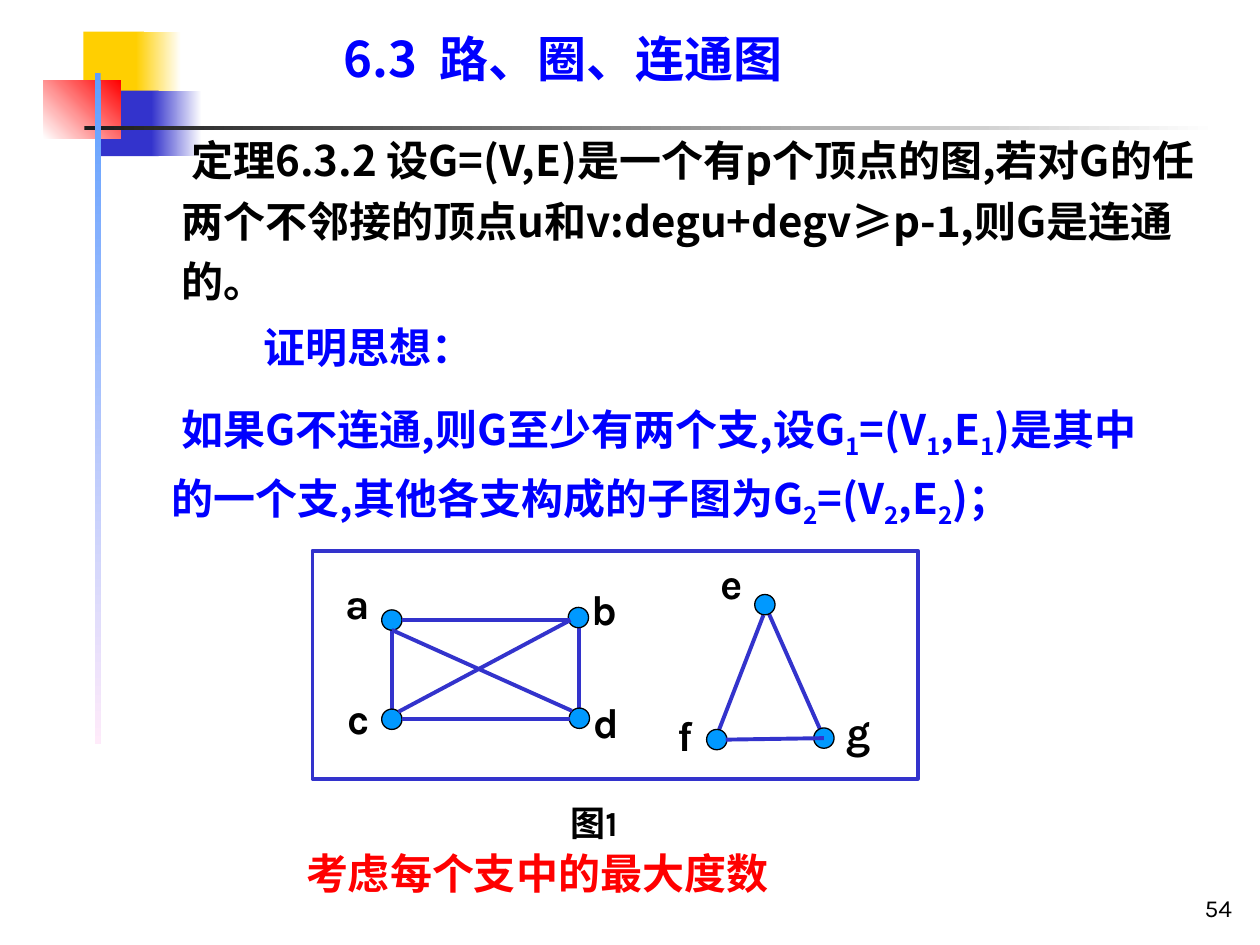
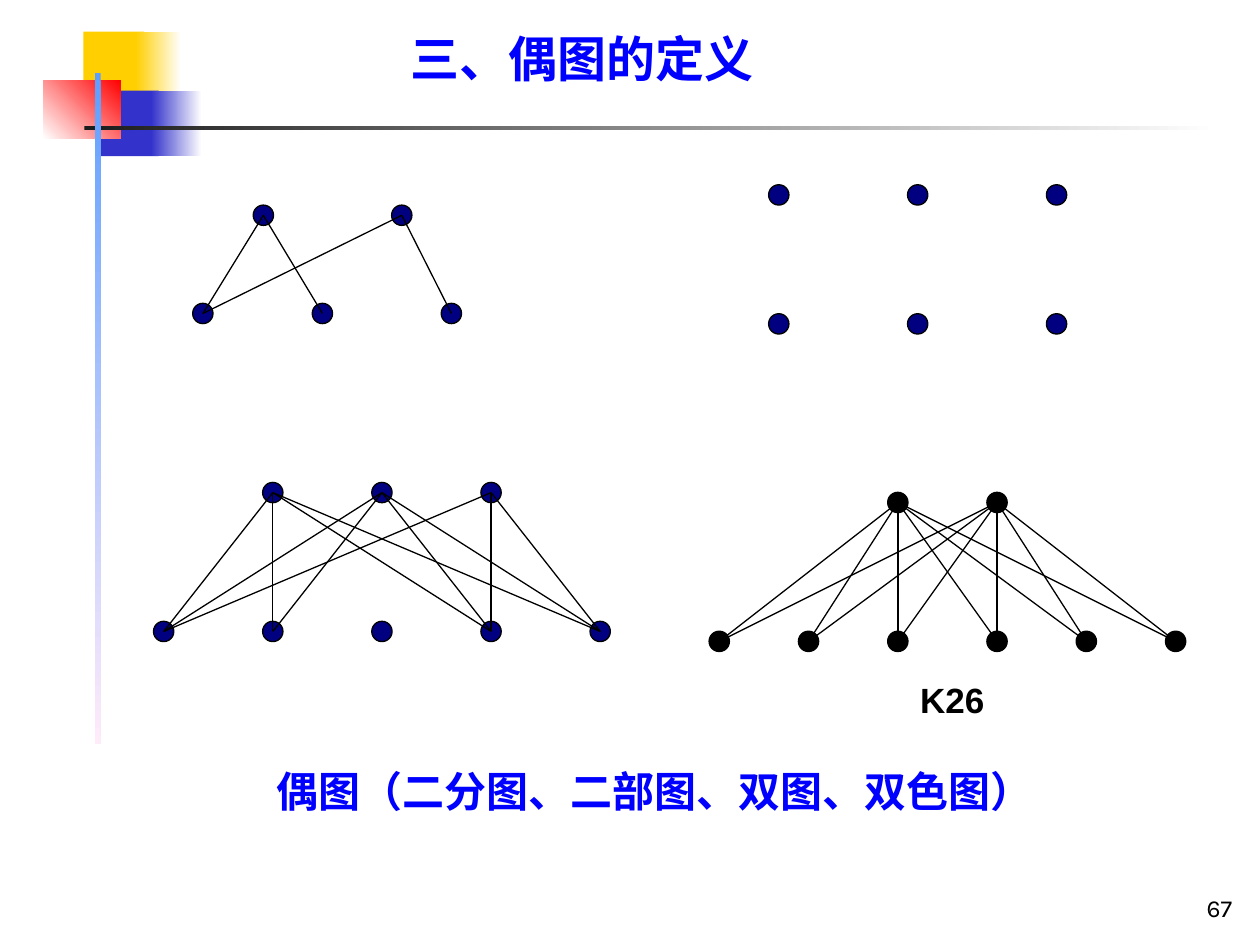
from itertools import product
from lxml.etree import SubElement
from pptx import Presentation
from pptx.dml.color import RGBColor
from pptx.enum.shapes import MSO_CONNECTOR, MSO_SHAPE
from pptx.enum.text import MSO_ANCHOR, MSO_AUTO_SIZE, PP_ALIGN
from pptx.oxml.ns import qn
from pptx.util import Cm, Pt

BLACK = RGBColor(0x00, 0x00, 0x00)
WHITE = RGBColor(0xFF, 0xFF, 0xFF)
BLUE = RGBColor(0x00, 0x00, 0xFF)
RED = RGBColor(0xFF, 0x00, 0x00)
YELLOW = RGBColor(0xFF, 0xCF, 0x01)
INDIGO = RGBColor(0x33, 0x33, 0xCC)
CHARCOAL = RGBColor(0x1C, 0x1C, 0x1C)
SKY = RGBColor(0x5E, 0x9E, 0xFF)
PINK = RGBColor(0xFF, 0xEB, 0xFA)
AZURE = RGBColor(0x00, 0x99, 0xFF)
NAVY = RGBColor(0x00, 0x00, 0x80)
CJK = "Noto Sans CJK SC"
LABEL = "Karla"
NODE = 0.41


def add_text(sp, box, parts, size, color, font=CJK, bold=True, spacing=1.0,
             indent=0, align=PP_ALIGN.LEFT, anchor=MSO_ANCHOR.TOP):
    sp.left, sp.top, sp.width, sp.height = [Cm(v) for v in box]
    tf = sp.text_frame
    tf.word_wrap = True
    tf.auto_size = MSO_AUTO_SIZE.NONE
    tf.vertical_anchor = anchor
    tf.margin_left = tf.margin_right = tf.margin_top = tf.margin_bottom = 0
    p = tf.paragraphs[0]
    pPr = p._p.get_or_add_pPr()
    pPr.set("marL", "0")
    pPr.set("indent", str(Cm(indent)))
    SubElement(pPr, qn("a:buNone"))
    p.alignment = align
    p.line_spacing = spacing
    p.space_before = Pt(0)
    for i, part in enumerate(parts):
        r = p.add_run()
        r.text = part
        r.font.name = font
        r.font.size = Pt(size)
        r.font.bold = bold
        r.font.color.rgb = color
        rPr = r._r.get_or_add_rPr()
        SubElement(rPr, qn("a:ea")).set("typeface", CJK)
        if i % 2:
            rPr.set("baseline", "-25000")


def add_graph(s, nodes, edges, fill, color, width):
    for x, y in nodes:
        sp = s.shapes.add_shape(MSO_SHAPE.OVAL, Cm(x - NODE / 2), Cm(y - NODE / 2), Cm(NODE), Cm(NODE))
        sp.shadow.inherit = False
        sp.fill.solid()
        sp.fill.fore_color.rgb = fill
        sp.line.color.rgb = BLACK
        sp.line.width = Pt(0.75)
    for edge in edges:
        c = s.shapes.add_connector(MSO_CONNECTOR.STRAIGHT, *[Cm(v) for v in edge])
        c.line.color.rgb = color
        c.line.width = Pt(width)
        SubElement(c.element.spPr, qn("a:effectLst"))


prs = Presentation()
prs.slide_width = Cm(25.4)
prs.slide_height = Cm(19.05)
theorem = prs.slides.add_slide(prs.slide_layouts[1])
bipartite = prs.slides.add_slide(prs.slide_layouts[5])

bands = [
    (1.68, 0.64, 1.22, 1.32, YELLOW, YELLOW, 0),
    (2.74, 0.64, 0.91, 1.32, YELLOW, WHITE, 0),
    (2.03, 1.83, 1.17, 1.32, INDIGO, INDIGO, 0),
    (3.05, 1.83, 1.02, 1.32, INDIGO, WHITE, 0),
    (0.88, 1.62, 1.56, 1.18, WHITE, RED, 45),
    (1.7, 2.55, 22.86, 0.08, CHARCOAL, WHITE, 0),
    (1.91, 1.47, 0.12, 13.54, SKY, PINK, 270),
]
for i, (x, y, w, h, start, end, angle) in enumerate(bands):
    sp = theorem.shapes.add_shape(MSO_SHAPE.RECTANGLE, Cm(x), Cm(y), Cm(w), Cm(h))
    sp.shadow.inherit = False
    sp.line.fill.background()
    if start == end:
        sp.fill.solid()
        sp.fill.fore_color.rgb = start
    else:
        sp.fill.gradient()
        sp.fill.gradient_angle = angle
        for stop, color in zip(sp.fill.gradient_stops, (start, end)):
            stop.color.rgb = color
    sp.element.nvSpPr.cNvPr.set("id", str(20 + i))
    prs.slide_master.shapes.element.append(sp.element)

for s, x, title, font, number in [
    (theorem, 6.93, "6.3  路、圈、连通图", CJK, "54"),
    (bipartite, 8.28, "三、偶图的定义", "Times New Roman", "67"),
]:
    add_text(s.shapes.title, (x, 0.71, 11, 1.07), [title], 28, BLUE, font, spacing=0.9)
    add_text(s.shapes.add_textbox(0, 0, 0, 0), (20.06, 17.59, 4.78, 1), [number], 14, BLACK,
             LABEL, bold=False, align=PP_ALIGN.RIGHT, anchor=MSO_ANCHOR.BOTTOM)

s = theorem
add_text(s.placeholders[1], (3.66, 2.51, 20.65, 3.66),
         ["定理6.3.2 设G=(V,E)是一个有p个顶点的图,若对G的任两个不邻接的顶点u和v:degu+degv≥p-1,则G是连通的。"],
         24, BLACK, spacing=1.2, indent=0.2)
add_text(s.shapes.add_textbox(0, 0, 0, 0), (5.31, 6.6, 5.2, 0.91), ["证明思想："], 24, BLUE, spacing=0.9)
add_text(s.shapes.add_textbox(0, 0, 0, 0), (3.46, 7.9, 19.84, 2.77),
         ["如果G不连通,则G至少有两个支,设G", "1", "=(V", "1", ",E", "1",
          ")是其中的一个支,其他各支构成的子图为G", "2", "=(V", "2", ",E", "2", ")；"],
         24, BLUE, spacing=1.2, indent=0.2)
add_text(s.shapes.add_textbox(0, 0, 0, 0), (6.17, 17.2, 11.7, 0.91), ["考虑每个支中的最大度数"],
         24, RED, spacing=0.9)

frame = s.shapes.add_shape(MSO_SHAPE.RECTANGLE, Cm(6.3), Cm(11.1), Cm(12.2), Cm(4.6))
frame.shadow.inherit = False
frame.fill.background()
frame.line.color.rgb = INDIGO
frame.line.width = Pt(2.25)

edges_behind = [
    (7.9, 12.5, 7.9, 14.3),
    (11.68, 12.5, 11.68, 14.5),
    (15.39, 12.4, 14.43, 14.88),
    (15.42, 12.19, 16.61, 14.88),
]
edges_front = [
    (8.1, 12.5, 11.5, 12.5),
    (8.1, 14.5, 11.5, 14.5),
    (7.9, 12.7, 11.53, 14.33),
    (11.5, 12.5, 8.03, 14.35),
    (14.63, 14.91, 16.61, 14.88),
]
nodes = [(7.9, 12.5), (11.66, 12.45), (7.9, 14.5), (11.68, 14.48),
         (15.42, 12.19), (14.45, 14.91), (16.61, 14.88)]
add_graph(s, [], edges_behind, AZURE, INDIGO, 2.25)
add_graph(s, nodes, edges_front, AZURE, INDIGO, 2.25)

for name, x, y, size in [
    ("a", 6.96, 11.64, 24), ("b", 11.93, 11.76, 24), ("c", 7.01, 13.97, 24), ("d", 11.96, 14.05, 24),
    ("e", 14.52, 11.23, 24), ("f", 13.66, 14.3, 24), ("g", 17.06, 14.23, 24), ("图1", 11.5, 16.16, 20),
]:
    add_text(s.shapes.add_textbox(0, 0, 0, 0), (x, y, 1.5, 1), [name], size, BLACK, LABEL)

s = bipartite
all_pairs = list(product(range(2), range(6)))
for top_xs, top_y, bottom_xs, bottom_y, pairs, fill in [
    ([5.31, 8.1], 4.34, [4.09, 6.5, 9.1], 6.32, [(0, 0), (0, 1), (1, 0), (1, 2)], NAVY),
    ([15.7, 18.5, 21.3], 3.93, [15.7, 18.5, 21.3], 6.53, [], NAVY),
    ([5.5, 7.7, 9.9], 9.93, [3.3, 5.5, 7.7, 9.9, 12.1], 12.73,
     [*product((0, 1), (0, 1, 3, 4)), (2, 0), (2, 3), (2, 4)], NAVY),
    ([18.1, 20.1], 10.13, [14.5, 16.3, 18.1, 20.1, 21.9, 23.7], 12.93, all_pairs, BLACK),
]:
    nodes = [(x, top_y) for x in top_xs] + [(x, bottom_y) for x in bottom_xs]
    edges = [(top_xs[i], top_y, bottom_xs[j], bottom_y) for i, j in pairs]
    add_graph(s, nodes, edges, fill, BLACK, 0.75)

add_text(s.shapes.add_textbox(0, 0, 0, 0), (18.55, 13.67, 1.8, 0.9), ["K26"], 20, BLACK, "Arial")
add_text(s.shapes.add_textbox(0, 0, 0, 0), (4.29, 15.44, 17.81, 1.1),
         ["偶图（二分图、二部图、双图、双色图）"], 24, BLUE, "Arial", align=PP_ALIGN.CENTER)

prs.save("out.pptx")
